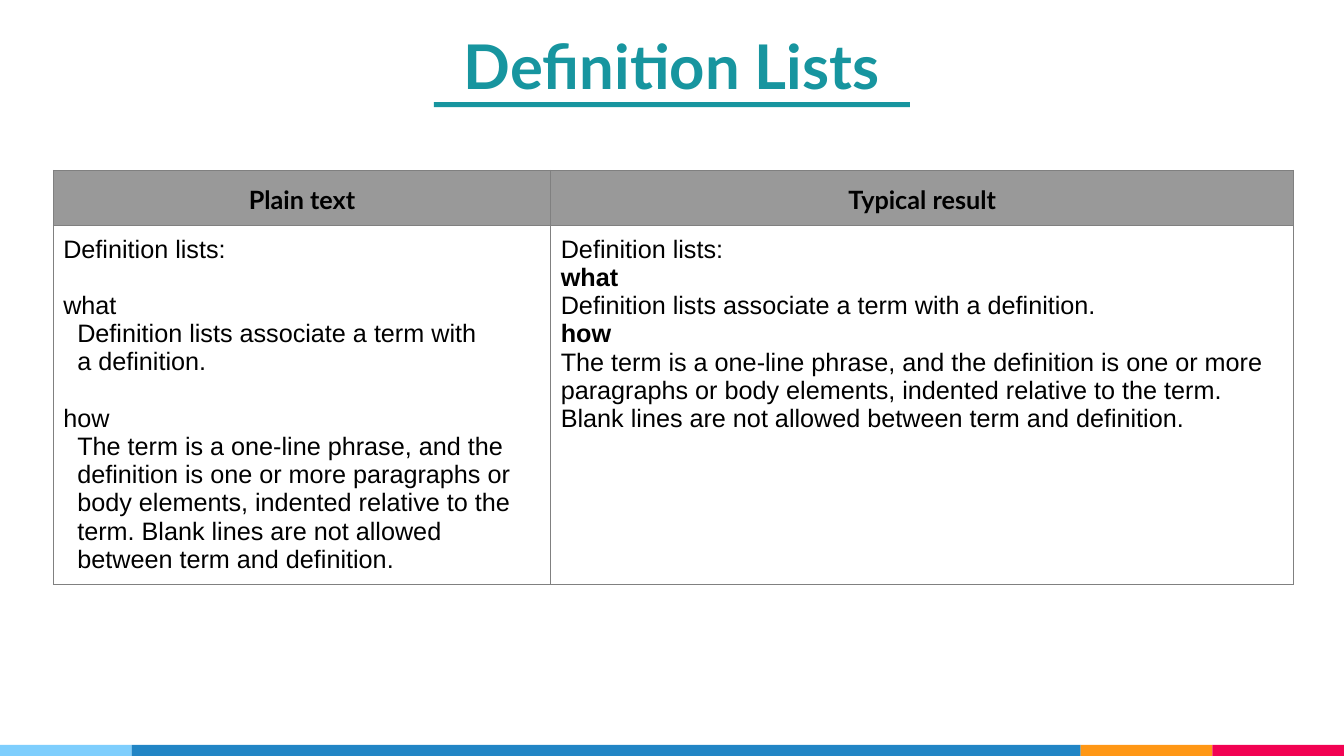
import pptx
import pptx.dml.color
import pptx.enum.shapes
import pptx.enum.text
import pptx.oxml
import pptx.oxml.ns
import pptx.util

Pt = pptx.util.Pt
RGB = pptx.dml.color.RGBColor
CENTER = pptx.enum.text.PP_ALIGN.CENTER

WIDTH, HEIGHT = 960, 540
TEAL = RGB(0x17, 0x95, 0x9F)
SKY = RGB(0x7E, 0xCE, 0xFD)
BLUE = RGB(0x21, 0x85, 0xC5)
ORANGE = RGB(0xFF, 0x97, 0x15)
PINK = RGB(0xF2, 0x02, 0x53)
GRAY = RGB(0x99, 0x99, 0x99)
BORDER = RGB(0x80, 0x80, 0x80)
BLACK = RGB(0, 0, 0)

SIZE = 18
LINE = 20.1    # height of one body line
INDENT = 10
PAD = 7.2

HEADS = ["Plain text", "Typical result"]
# Plain lines: text, indent, space before
PLAIN = [
    ("Definition lists:", 0, 0),
    ("what", 0, LINE),
    ("Definition lists associate a term with", INDENT, 0),
    ("a definition.", INDENT, 0),
    ("how", 0, LINE),
    ("The term is a one-line phrase, and the", INDENT, 0),
    ("definition is one or more paragraphs or", INDENT, 0),
    ("body elements, indented relative to the", INDENT, 0),
    ("term. Blank lines are not allowed", INDENT, 0),
    ("between term and definition.", INDENT, 0),
]
# Result lines: text, bold
RESULT = [
    ("Definition lists:", False),
    ("what", True),
    ("Definition lists associate a term with a definition.", False),
    ("how", True),
    ("The term is a one-line phrase, and the definition is one or more "
     "paragraphs or body elements, indented relative to the term. "
     "Blank lines are not allowed between term and definition.", False),
]


def add_bar(slide, left, top, width, height, color):
    bar = slide.shapes.add_shape(pptx.enum.shapes.MSO_SHAPE.RECTANGLE,
                                 Pt(left), Pt(top), Pt(width), Pt(height))
    bar.shadow.inherit = False
    bar.fill.solid()
    bar.fill.fore_color.rgb = color
    bar.line.fill.background()


def add_run(para, text, size=SIZE, font="Arial", color=BLACK, bold=False):
    run = para.add_run()
    run.text = text
    run.font.size = Pt(size)
    run.font.name = font
    run.font.color.rgb = color
    run.font.bold = bold


def next_para(frame, index):
    return frame.add_paragraph() if index else frame.paragraphs[0]


def add_strip(slide, left, top, width, height):
    """Draw the coloured strip at the foot of the slide."""
    end = 94
    parts = [(end, SKY), (width - 3 * end, BLUE), (end, ORANGE), (end, PINK)]
    for part, color in parts:
        add_bar(slide, left, top, part, height, color)
        left += part


def add_title(slide, left, top, width, height):
    box = slide.shapes.add_textbox(Pt(left), Pt(top), Pt(width), Pt(height))
    frame = box.text_frame
    frame.word_wrap = True
    frame.margin_left = frame.margin_right = Pt(3.6)
    frame.margin_top = frame.margin_bottom = Pt(1.44)
    para = frame.paragraphs[0]
    para.alignment = CENTER
    add_run(para, "Definition Lists", 44, "Lato", TEAL, True)
    rule = 340
    add_bar(slide, left + (width - rule) / 2, top + height - 2.9, rule, 3.6, TEAL)


def style_cell(cell):
    """Set padding and thin borders on all four sides."""
    cell.margin_left = cell.margin_right = Pt(PAD)
    cell.margin_top = cell.margin_bottom = Pt(PAD)
    props = cell._tc.get_or_add_tcPr()
    for side in "LRTB":
        props.append(pptx.oxml.parse_xml(
            f'<a:ln{side} {pptx.oxml.ns.nsdecls("a")} w="{Pt(0.75)}">'
            f'<a:solidFill><a:srgbClr val="{BORDER}"/></a:solidFill>'
            f'</a:ln{side}>'))
    cell.fill.background()


def fill_head(cell, text):
    cell.fill.solid()
    cell.fill.fore_color.rgb = GRAY
    para = cell.text_frame.paragraphs[0]
    para.alignment = CENTER
    para.line_spacing = 1.15
    add_run(para, text, font="Lato", bold=True)


def fill_plain(cell):
    for index, (text, indent, gap) in enumerate(PLAIN):
        para = next_para(cell.text_frame, index)
        para.space_before = Pt(gap)
        props = para._p.get_or_add_pPr()
        props.set("marL", str(Pt(indent)))
        props.set("indent", "0")
        add_run(para, text)


def fill_result(cell):
    for index, (text, bold) in enumerate(RESULT):
        add_run(next_para(cell.text_frame, index), text, bold=bold)


def add_grid(slide, left, top, width, height):
    """Place the two-column comparison table."""
    table = slide.shapes.add_table(2, 2, Pt(left), Pt(top),
                                   Pt(width), Pt(height)).table
    table.first_row = table.horz_banding = False
    first, head = 355.4, 39.2
    for column, size in zip(table.columns, (first, width - first)):
        column.width = Pt(size)
    for row, size in zip(table.rows, (head, height - head)):
        row.height = Pt(size)
    for cell in table.iter_cells():
        style_cell(cell)
    for index, text in enumerate(HEADS):
        fill_head(table.cell(0, index), text)
    fill_plain(table.cell(1, 0))
    fill_result(table.cell(1, 1))


def main():
    deck = pptx.Presentation()
    deck.slide_width, deck.slide_height = Pt(WIDTH), Pt(HEIGHT)
    slide = deck.slides.add_slide(deck.slide_layouts[6])
    add_strip(slide, 0, HEIGHT - 8, WIDTH, 8)
    add_grid(slide, 38, 121.6, 886, 295.6)
    add_title(slide, 68, 18.8, 824, 57)
    deck.save("out.pptx")


if __name__ == "__main__":
    main()
